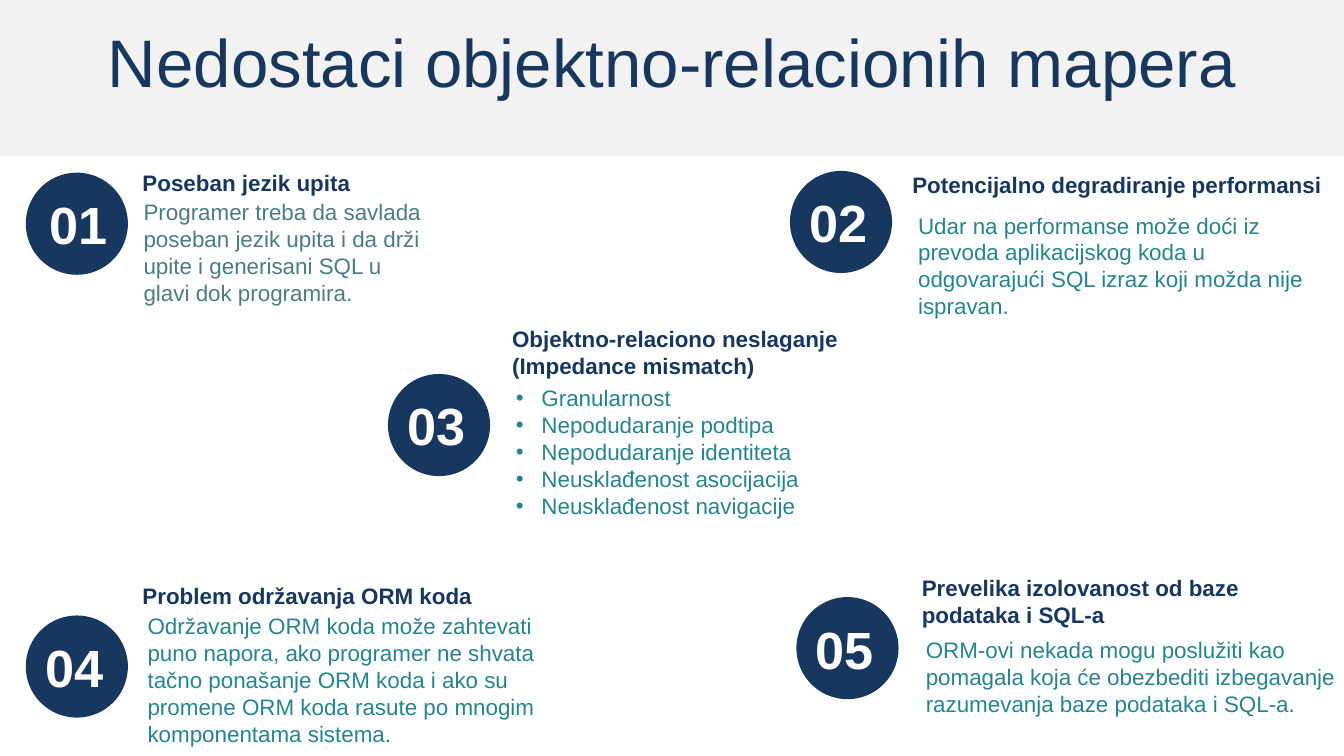
from dataclasses import dataclass

from lxml import etree
from pptx import Presentation
from pptx.dml.color import RGBColor
from pptx.enum.shapes import MSO_SHAPE
from pptx.enum.text import MSO_ANCHOR, MSO_AUTO_SIZE, PP_ALIGN
from pptx.oxml.ns import qn
from pptx.util import Inches, Pt

RECTANGLE, OVAL = MSO_SHAPE.RECTANGLE, MSO_SHAPE.OVAL
MIDDLE = MSO_ANCHOR.MIDDLE
GROW, FIXED = MSO_AUTO_SIZE.SHAPE_TO_FIT_TEXT, MSO_AUTO_SIZE.NONE
LEFT, CENTER = PP_ALIGN.LEFT, PP_ALIGN.CENTER

NAVY = RGBColor(0x17, 0x37, 0x5E)
TEAL = RGBColor(0x26, 0x85, 0x8C)
GREY_TEAL = RGBColor(0x4D, 0x7C, 0x80)
LIGHT_GREY = RGBColor(0xF2, 0xF2, 0xF2)
WHITE = RGBColor(0xFF, 0xFF, 0xFF)

# A 16:9 slide on a square grid, 100 columns across
SLIDE_WIDTH = Inches(10)
SLIDE_HEIGHT = SLIDE_WIDTH * 9 // 16
COLUMNS = 100
CELL = SLIDE_WIDTH / COLUMNS
BADGE_SIZE = 7.6
NUMBER_WIDTH, NUMBER_HEIGHT = 6.6, 4.7
FONT = "Arial"
BULLET_INDENT = Inches(0.19)


@dataclass
class Drawback:
    """Boxes are (column, row, width, height), measured from the badge."""
    number: str
    badge: tuple
    heading: str
    heading_box: tuple
    paragraphs: list
    body_box: tuple
    bulleted: bool = False
    number_offset: float = 0.45


DRAWBACKS = [
    Drawback("01", (1.92, 12.85), "Poseban jezik upita", (7.7, -0.6, 28.9, 2.6),
             [[("Programer treba da savlada poseban jezik upita i da drži upite "
                "i generisani SQL u glavi dok programira", GREY_TEAL), (".", TEAL)]],
             (7.78, 1.35, 23, 9.1), number_offset=0.8),
    Drawback("02", (58.78, 12.72), "Potencijalno degradiranje performansi",
             (8.12, -0.45, 33, 3),
             [[("Udar na performanse može doći iz prevoda aplikacijskog koda u "
                "odgovarajući SQL izraz koji možda nije ispravan.", TEAL)]],
             (8.55, 2.48, 32, 9.1)),
    Drawback("03", (28.87, 27.83), "Objektno-relaciono neslaganje (Impedance mismatch)",
             (8.25, -4.13, 26.9, 5),
             [[(text, TEAL)] for text in (
                 "Granularnost", "Nepodudaranje podtipa", "Nepodudaranje identiteta",
                 "Neusklađenost asocijacija", "Neusklađenost navigacije")],
             (8.53, 0.22, 26.1, 11.1), bulleted=True),
    Drawback("04", (1.92, 45.8), "Problem održavanja ORM koda", (7.7, -3, 27.9, 3),
             [[("Održavanje ORM koda može zahtevati puno napora, ako programer ne "
                "shvata tačno ponašanje ORM koda i ako su promene ORM koda rasute po "
                "mnogim komponentama sistema.", TEAL)]],
             (8.08, -0.8, 32, 11.1)),
    Drawback("05", (59.26, 44.43), "Prevelika izolovanost od baze podataka i SQL-a",
             (8.34, -2.2, 27.9, 5),
             [[("ORM-ovi nekada mogu poslužiti kao pomagala koja će obezbediti "
                "izbegavanje razumevanja baze podataka i SQL-a.", TEAL)]],
             (8.64, 2.37, 33, 7.1)),
]


def to_lengths(box):
    return [round(value * CELL) for value in box]


def add_plain_shape(slide, kind, box, color):
    shape = slide.shapes.add_shape(kind, *to_lengths(box))
    shape.shadow.inherit = False
    shape.fill.solid()
    shape.fill.fore_color.rgb = color
    shape.line.fill.background()


def add_bullet(paragraph):
    properties = paragraph._p.get_or_add_pPr()
    properties.set("marL", str(BULLET_INDENT))
    properties.set("indent", str(-BULLET_INDENT))
    etree.SubElement(properties, qn("a:buFont"), typeface=FONT)
    etree.SubElement(properties, qn("a:buChar"), char="•")


def add_text(slide, box, paragraphs, size, bold=False, alignment=LEFT,
             bulleted=False, margin=Inches(0.05), auto_size=GROW):
    """Each paragraph is a list of (text, color) runs."""
    frame = slide.shapes.add_textbox(*to_lengths(box)).text_frame
    frame.word_wrap = True
    frame.auto_size = auto_size
    frame.vertical_anchor = MIDDLE
    frame.margin_top = frame.margin_bottom = margin
    for index, runs in enumerate(paragraphs):
        paragraph = frame.add_paragraph() if index else frame.paragraphs[0]
        paragraph.alignment = alignment
        if bulleted:
            add_bullet(paragraph)
        for text, color in runs:
            run = paragraph.add_run()
            run.text = text
            run.font.name = FONT
            run.font.size = Pt(size)
            run.font.bold = bold
            run.font.color.rgb = color


def add_header(slide, box):
    left, top, width, height = box
    add_plain_shape(slide, RECTANGLE, box, LIGHT_GREY)
    title_box = (left, top + 0.12 * height, width, 0.54 * height)
    add_text(slide, title_box, [[("Nedostaci objektno-relacionih mapera", NAVY)]],
             36, alignment=CENTER, auto_size=FIXED)


def add_drawback(slide, drawback):
    left, top = drawback.badge

    def from_badge(box):
        return (left + box[0], top + box[1], *box[2:])

    # Numbered badge
    add_plain_shape(slide, OVAL, (left, top, BADGE_SIZE, BADGE_SIZE), NAVY)
    number_box = (drawback.number_offset, (BADGE_SIZE - NUMBER_HEIGHT) / 2,
                  NUMBER_WIDTH, NUMBER_HEIGHT)
    add_text(slide, from_badge(number_box), [[(drawback.number, WHITE)]],
             28, bold=True, margin=0)

    # Explanation and heading
    add_text(slide, from_badge(drawback.body_box), drawback.paragraphs, 12,
             bulleted=drawback.bulleted)
    add_text(slide, from_badge(drawback.heading_box), [[(drawback.heading, NAVY)]],
             12, bold=True)


def main():
    presentation = Presentation()
    presentation.slide_width = SLIDE_WIDTH
    presentation.slide_height = SLIDE_HEIGHT
    slide = presentation.slides.add_slide(presentation.slide_layouts[6])
    add_header(slide, (0, 0, COLUMNS, 11.6))
    for drawback in DRAWBACKS:
        add_drawback(slide, drawback)
    presentation.save("out.pptx")


if __name__ == "__main__":
    main()
